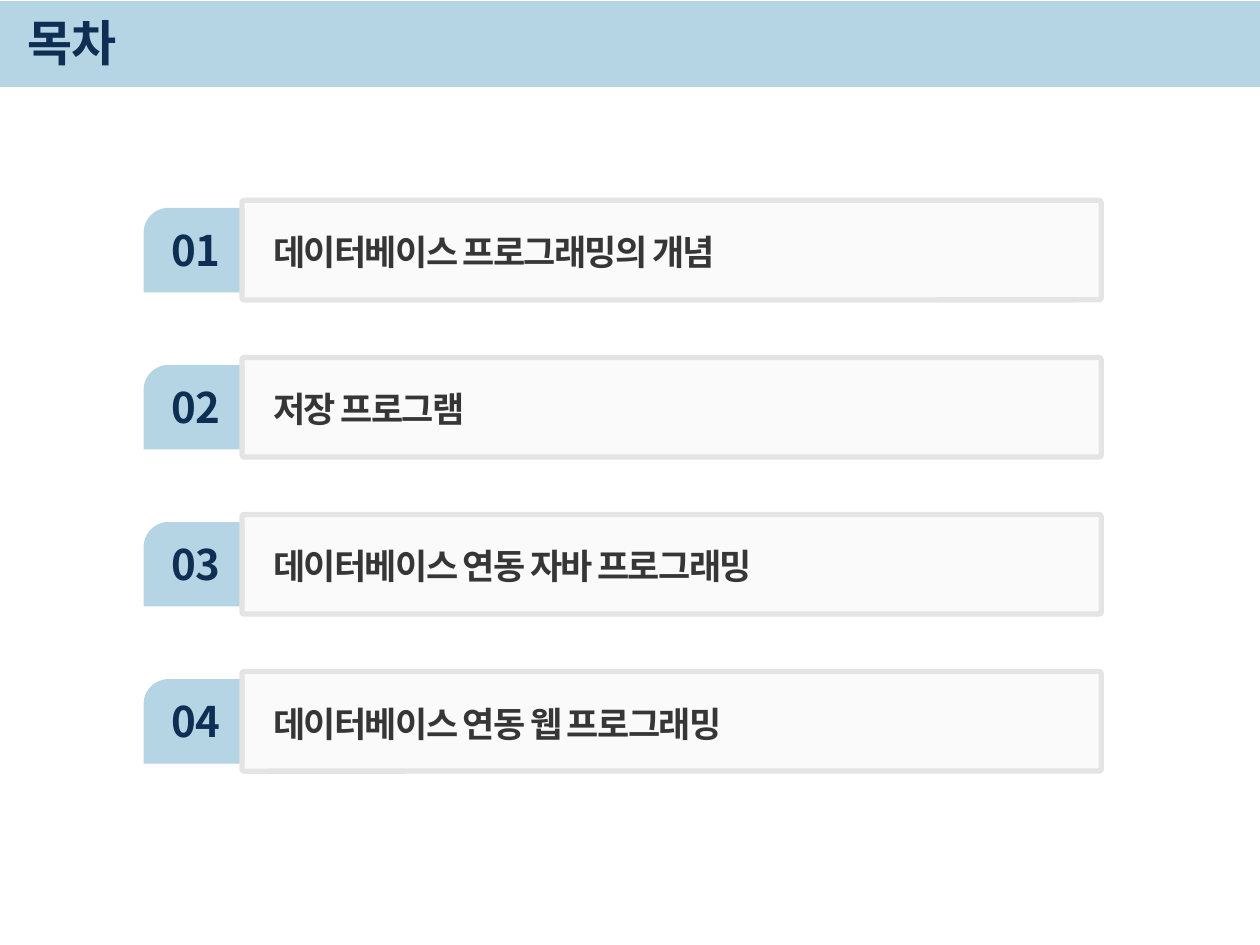
from dataclasses import dataclass

from lxml.etree import SubElement
from pptx import Presentation
from pptx.dml.color import RGBColor
from pptx.enum.shapes import MSO_SHAPE as Preset
from pptx.enum.text import MSO_ANCHOR as Anchor, MSO_AUTO_SIZE as AutoSize, PP_ALIGN as Align
from pptx.oxml.ns import qn
from pptx.shapes.autoshape import Shape
from pptx.shapes.group import GroupShape
from pptx.text.text import TextFrame
from pptx.util import Inches, Pt

FONT = "Noto Sans CJK KR"
COLORS = {
    "sky": "B5D5E4",
    "navy": "0F2E53",
    "ink": "363636",
    "panel": "F2F2F2",
    "border": "E4E4E4",
}
FIRST_ROW, LAST_ROW = 1.59, 5.33


@dataclass(frozen=True)
class Box:
    left: float
    top: float
    width: float
    height: float

    def below(self, offset: float) -> "Box":
        return Box(self.left, self.top + offset, self.width, self.height)

    def emu(self) -> tuple[int, int, int, int]:
        return Inches(self.left), Inches(self.top), Inches(self.width), Inches(self.height)


@dataclass(frozen=True)
class Chapter:
    number: str
    heading: str


CHAPTERS = [
    Chapter("01", "데이터베이스 프로그래밍의 개념"),
    Chapter("02", "저장 프로그램"),
    Chapter("03", "데이터베이스 연동 자바 프로그래밍"),
    Chapter("04", "데이터베이스 연동 웹 프로그래밍"),
]
TAB = Box(1.14, 0.06, 0.8, 0.67)
NUMBER = Box(1.26, 0.14, 0.59, 0.5)
PANEL = Box(1.92, 0, 6.82, 0.79)
HEADING = Box(2.07, 0.16, 5.28, 0.44)


def rgb(color: str) -> RGBColor:
    return RGBColor.from_string(COLORS[color])


def write(frame: TextFrame, text: str, *, size: float, color: str,
          align: Align = Align.LEFT, anchor: Anchor = Anchor.TOP, wrap: bool = True,
          fit: AutoSize = AutoSize.SHAPE_TO_FIT_TEXT, tracking: float = 0,
          line_spacing: float = 1, before: float = 0, after: float = 0) -> None:
    frame.word_wrap = wrap
    frame.auto_size = fit
    frame.vertical_anchor = anchor
    paragraph = frame.paragraphs[0]
    paragraph.alignment = align
    paragraph.line_spacing = line_spacing
    paragraph.space_before = Pt(before)
    paragraph.space_after = Pt(after)
    run = paragraph.add_run()
    run.text = text
    run.font.size = Pt(size)
    run.font.bold = True
    run.font.color.rgb = rgb(color)
    run.font.name = FONT
    properties = run.font._element
    SubElement(properties, qn("a:ea")).set("typeface", FONT)
    properties.set("spc", str(round(tracking * 100)))


def draw_shape(shapes, preset: Preset, box: Box, *, fill: str, opacity: int = 100,
               border: str | None = None, border_width: float = 0,
               adjustments: tuple[float, ...] = ()) -> Shape:
    shape = shapes.add_shape(preset, *box.emu())
    shape.shadow.inherit = False
    for index, value in enumerate(adjustments):
        shape.adjustments[index] = value
    shape.fill.solid()
    shape.fill.fore_color.rgb = rgb(fill)
    if opacity < 100:
        shade = shape._element.spPr.find(qn("a:solidFill"))[0]
        SubElement(shade, qn("a:alpha")).set("val", str(opacity * 1000))
    if border:
        shape.line.color.rgb = rgb(border)
        shape.line.width = Pt(border_width)
    else:
        shape.line.fill.background()
    return shape


def draw_chapter(group: GroupShape, chapter: Chapter, top: float) -> None:
    shapes = group.shapes
    draw_shape(shapes, Preset.SNIP_ROUND_RECTANGLE, TAB.below(top),
               fill="sky", adjustments=(0.296, 0))
    number = shapes.add_textbox(*NUMBER.below(top).emu())
    write(number.text_frame, chapter.number, size=24, color="navy",
          align=Align.CENTER, wrap=False)
    draw_shape(shapes, Preset.ROUNDED_RECTANGLE, PANEL.below(top), fill="panel", opacity=33,
               border="border", border_width=3, adjustments=(0.023,))
    heading = shapes.add_textbox(*HEADING.below(top).emu())
    write(heading.text_frame, chapter.heading, size=20, color="ink", tracking=-1,
          line_spacing=1.1, before=18, after=3)


def main() -> None:
    deck = Presentation()
    deck.slide_width, deck.slide_height = Inches(10), Inches(7.5)
    slide = deck.slides.add_slide(deck.slide_layouts[5])

    band = draw_shape(slide.shapes, Preset.RECTANGLE, Box(0, 0.01, 10, 0.68), fill="sky")
    title = slide.shapes.title
    title._element.addprevious(band._element)
    title.left, title.top, title.width, title.height = Box(0.12, 0.07, 8.51, 0.52).emu()
    write(title.text_frame, "목차", size=28, color="navy", tracking=-1,
          anchor=Anchor.MIDDLE, fit=AutoSize.NONE)

    pitch = (LAST_ROW - FIRST_ROW) / (len(CHAPTERS) - 1)
    for row, chapter in enumerate(CHAPTERS):
        draw_chapter(slide.shapes.add_group_shape(), chapter, FIRST_ROW + row * pitch)

    deck.save("out.pptx")


if __name__ == "__main__":
    main()
